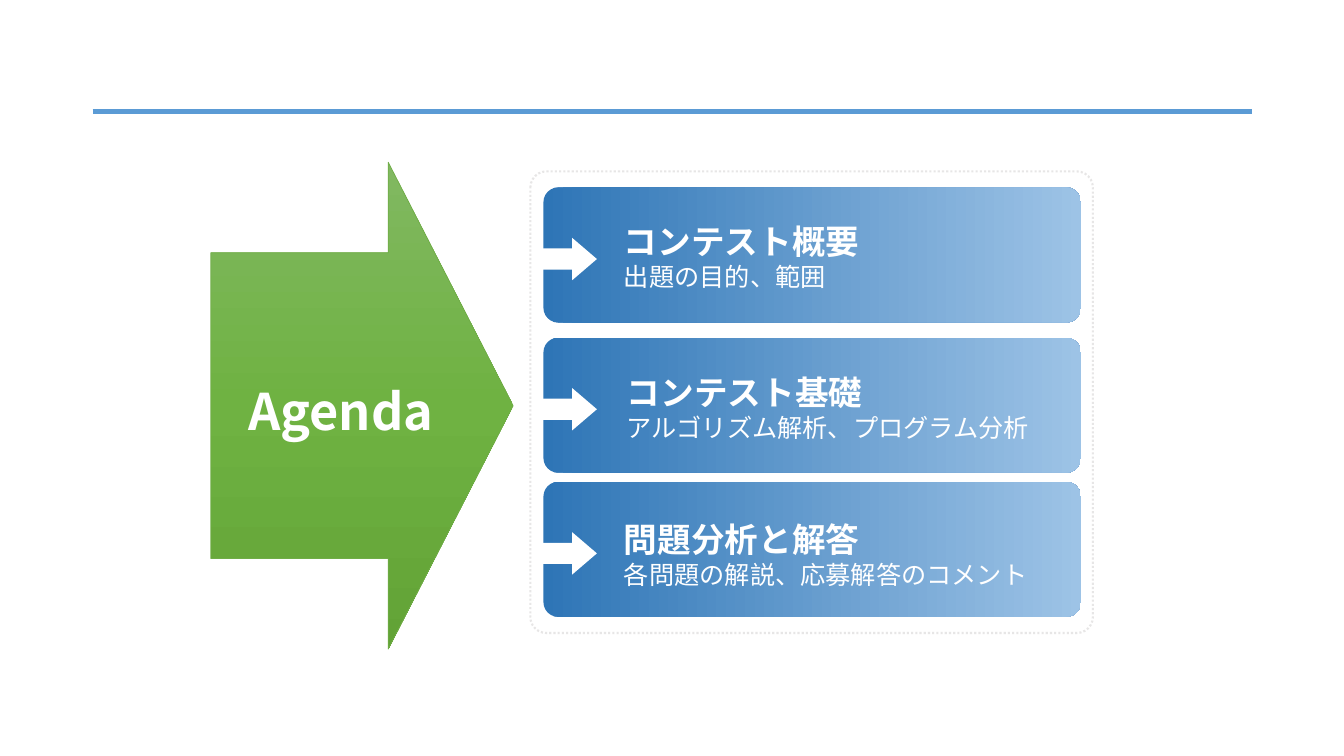
from copy import deepcopy

from lxml import etree
from pptx import Presentation
from pptx.dml.color import RGBColor
from pptx.enum.dml import MSO_LINE
from pptx.enum.shapes import MSO_CONNECTOR, MSO_SHAPE
from pptx.enum.text import MSO_ANCHOR, MSO_AUTO_SIZE, PP_ALIGN
from pptx.oxml.ns import qn
from pptx.util import Inches, Pt

ROUNDED = MSO_SHAPE.ROUNDED_RECTANGLE
RIGHT_ARROW = MSO_SHAPE.RIGHT_ARROW
STRAIGHT = MSO_CONNECTOR.STRAIGHT
DOTTED = MSO_LINE.ROUND_DOT
MIDDLE = MSO_ANCHOR.MIDDLE
TOP = MSO_ANCHOR.TOP
GROW = MSO_AUTO_SIZE.SHAPE_TO_FIT_TEXT
LEFT = PP_ALIGN.LEFT
CENTER = PP_ALIGN.CENTER

WHITE = RGBColor(0xFF, 0xFF, 0xFF)
RULE_BLUE = RGBColor(0x5B, 0x9B, 0xD5)
FRAME_GRAY = RGBColor(0xE7, 0xE6, 0xE6)
ARROW_LINE = RGBColor(0x70, 0xAD, 0x47)
GREENS = (RGBColor(0x81, 0xB8, 0x61), RGBColor(0x6F, 0xB2, 0x42), RGBColor(0x62, 0xA3, 0x36))
BLUES = (RGBColor(0x2E, 0x75, 0xB6), RGBColor(0x9D, 0xC3, 0xE6))
FONT = "Noto Sans CJK JP"

TOPICS = [
    ("コンテスト概要", "出題の目的、範囲", 1.86, 6.09, 2.14),
    ("コンテスト基礎", "アルゴリズム解析、プログラム分析", 3.35, 6.12, 3.64),
    ("問題分析と解答", "各問題の解説、応募解答のコメント", 4.78, 6.09, 5.1),
]


def write(paragraph, text, size=18, bold=False, color=WHITE, align=LEFT):
    paragraph.alignment = align
    run = paragraph.add_run()
    run.text = text
    font = run.font
    font.size = Pt(size)
    font.bold = bold
    font.color.rgb = color
    font.name = FONT
    east_asian = etree.SubElement(run._r.get_or_add_rPr(), qn("a:ea"))
    east_asian.set("typeface", FONT)


class AgendaSlide:
    def __init__(self, presentation):
        self.slide = presentation.slides.add_slide(presentation.slide_layouts[5])
        self.shapes = self.slide.shapes

    def rule(self, left, right, y, color, width):
        connector = self.shapes.add_connector(
            STRAIGHT, Inches(left), Inches(y), Inches(right), Inches(y))
        connector.line.color.rgb = color
        connector.line.width = Pt(width)
        etree.SubElement(connector.element.spPr, qn("a:effectLst"))

    def shape(self, kind, box, adjustments, fill=None, angle=0,
              line=None, width=1, dash=None, parent=None):
        shapes = parent.shapes if parent is not None else self.shapes
        shape = shapes.add_shape(kind, *map(Inches, box))
        shape.shadow.inherit = False
        for index, value in enumerate(adjustments):
            shape.adjustments[index] = value
        if fill is None:
            shape.fill.background()
        elif isinstance(fill, RGBColor):
            shape.fill.solid()
            shape.fill.fore_color.rgb = fill
        else:
            self.gradient(shape, fill, angle)
        if line is None:
            shape.line.fill.background()
        else:
            shape.line.color.rgb = line
            shape.line.width = Pt(width)
            if dash is not None:
                shape.line.dash_style = dash
        return shape

    def gradient(self, shape, colors, angle):
        shape.fill.gradient()
        shape.fill.gradient_angle = angle
        stop_list = shape.element.spPr.find(".//" + qn("a:gsLst"))
        while len(stop_list) < len(colors):
            stop_list.append(deepcopy(stop_list[0]))
        for index, stop in enumerate(shape.fill.gradient_stops):
            stop.position = index / (len(colors) - 1)
            stop.color.rgb = colors[index]

    def title(self, text, box, above):
        title = self.shapes.title
        title.left, title.top, title.width, title.height = map(Inches, box)
        frame = title.text_frame
        frame.word_wrap = True
        frame.auto_size = GROW
        frame.vertical_anchor = MIDDLE
        write(frame.paragraphs[0], text, size=36, bold=True, align=CENTER)
        above.element.addnext(title.element)

    def card(self, top):
        group = self.shapes.add_group_shape()
        self.shape(ROUNDED, (5.39, top, 5.33, 1.34), [0.109], BLUES, parent=group)
        self.shape(RIGHT_ARROW, (5.34, top + 0.5, 0.58, 0.42), [0.5, 0.583],
                   WHITE, parent=group)

    def topic_text(self, heading, detail, left, top):
        text_box = self.shapes.add_textbox(*map(Inches, (left, top, 4.41, 0.81)))
        frame = text_box.text_frame
        frame.word_wrap = True
        frame.auto_size = GROW
        frame.vertical_anchor = TOP
        write(frame.paragraphs[0], heading, size=24, bold=True)
        write(frame.add_paragraph(), detail)


def main():
    presentation = Presentation()
    presentation.slide_width = Inches(13.33)
    presentation.slide_height = Inches(7.5)
    agenda = AgendaSlide(presentation)
    agenda.rule(0.92, 12.42, 1.11, RULE_BLUE, 3.75)
    arrow = agenda.shape(RIGHT_ARROW, (2.09, 1.61, 3, 4.83), [0.628, 0.413],
                         GREENS, angle=270, line=ARROW_LINE, width=0.5)
    agenda.title("Agenda", (2.17, 3.72, 2.42, 0.71), above=arrow)
    agenda.shape(ROUNDED, (5.26, 1.7, 5.58, 4.58), [0.035],
                 line=FRAME_GRAY, width=1.5, dash=DOTTED)
    for heading, detail, card_top, text_left, text_top in TOPICS:
        agenda.card(card_top)
        agenda.topic_text(heading, detail, text_left, text_top)
    presentation.save("out.pptx")


if __name__ == "__main__":
    main()
